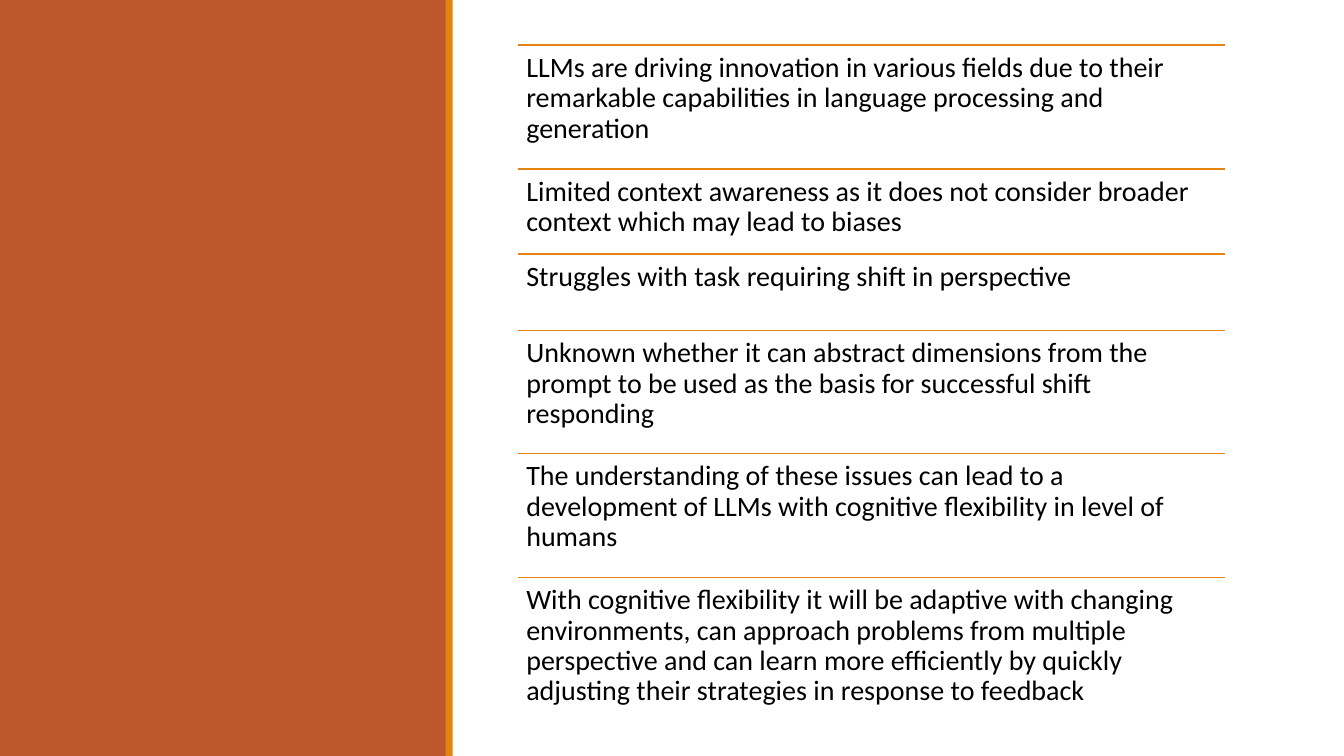
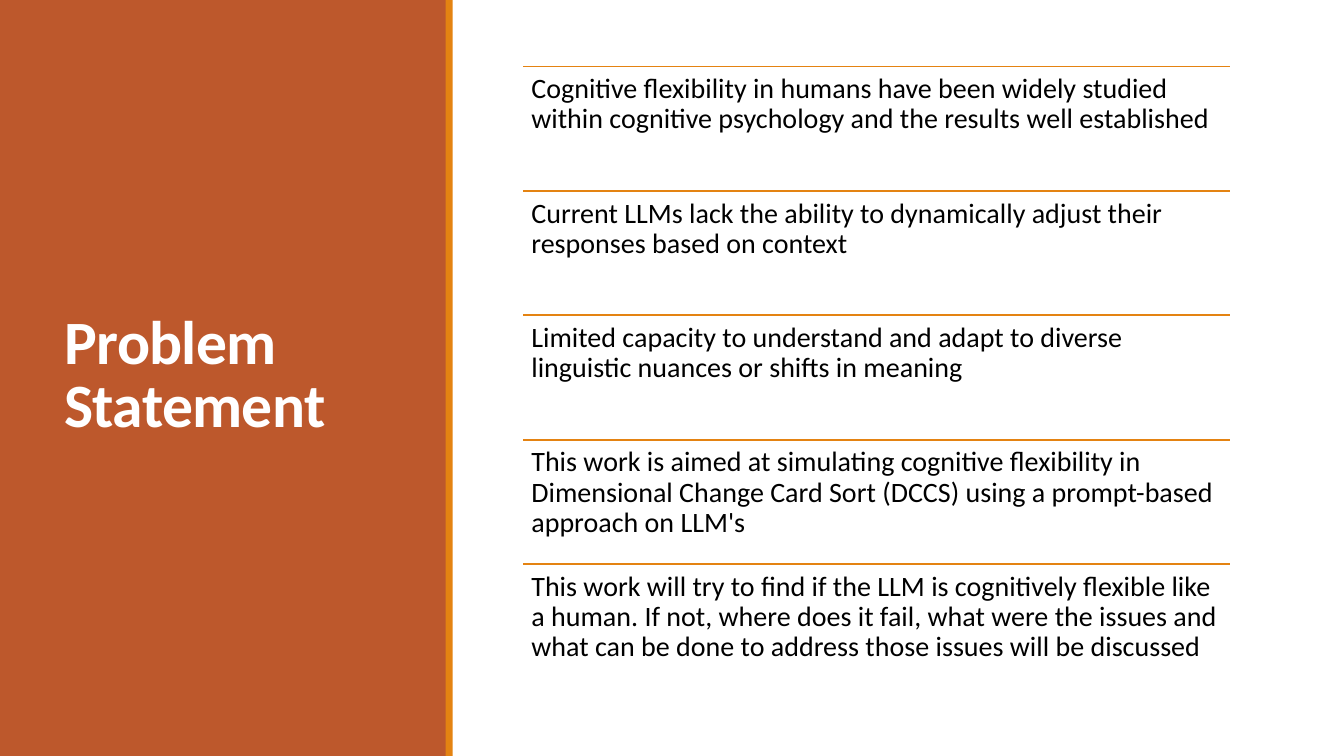
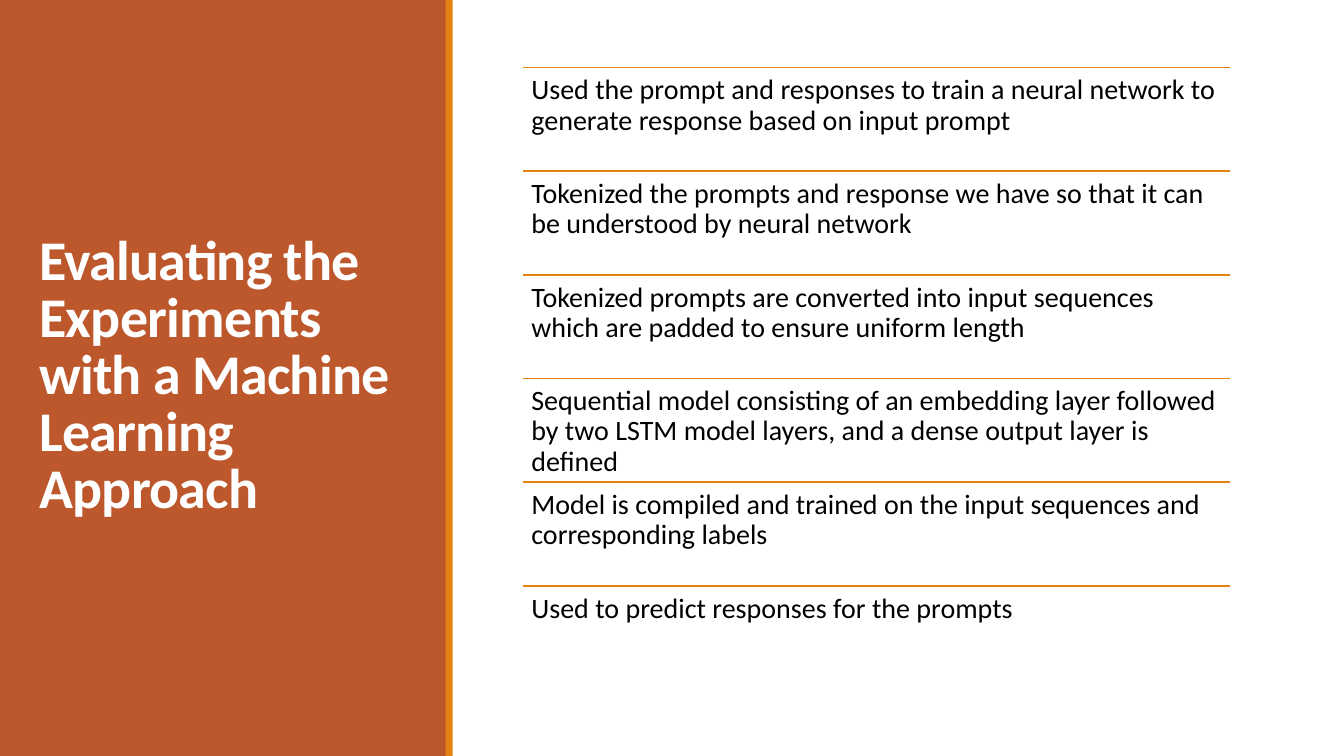
from lxml import etree
from pptx import Presentation
from pptx.dml.color import RGBColor
from pptx.enum.shapes import MSO_CONNECTOR, MSO_SHAPE
from pptx.enum.text import MSO_ANCHOR, MSO_AUTO_SIZE, PP_ALIGN
from pptx.oxml.ns import qn
from pptx.util import Inches, Pt

RECTANGLE = MSO_SHAPE.RECTANGLE
STRAIGHT = MSO_CONNECTOR.STRAIGHT
LEFT = PP_ALIGN.LEFT
TOP, MIDDLE = MSO_ANCHOR.TOP, MSO_ANCHOR.MIDDLE
NO_AUTOFIT = MSO_AUTO_SIZE.NONE

RUST = RGBColor(0xBD, 0x58, 0x2C)
ORANGE = RGBColor(0xE4, 0x83, 0x12)
WHITE = RGBColor(0xFF, 0xFF, 0xFF)
BLACK = RGBColor(0x00, 0x00, 0x00)
FONT = "Calibri"

TITLE_ONLY, BLANK = 5, 6
SLIDE_HEIGHT = 7.5
LIST_WIDTH = 7.01
LIST_HEIGHT = 6.17
INSET = Inches(0.08)

# Left, width and colour of the side panel and its edge
BANDS = [(0, 4.43, RUST), (4.42, 0.07, ORANGE)]

SLIDES = [
    {
        "title": None,
        "list_at": (5.14, 0.45),
        "row_heights": [1.23, 0.84, 0.76, 1.22, 1.23, 1.32],
        "rows": [
            "LLMs are driving innovation in various fields due to their remarkable "
            "capabilities in language processing and generation",
            "Limited context awareness as it does not consider broader context "
            "which may lead to biases",
            "Struggles with task requiring shift in perspective",
            "Unknown whether it can abstract dimensions from the prompt to be used "
            "as the basis for successful shift responding",
            "The understanding of these issues can lead to a development of LLMs "
            "with cognitive flexibility in level of humans",
            "With cognitive flexibility it will be adaptive with changing "
            "environments, can approach problems from multiple perspective and can "
            "learn more efficiently by quickly adjusting their strategies in "
            "response to feedback",
        ],
    },
    {
        "title": "Problem\vStatement",
        "title_left": 0.54,
        "title_width": 3.37,
        "title_size": 44,
        "list_at": (5.19, 0.66),
        "rows": [
            "Cognitive flexibility in humans have been widely studied within "
            "cognitive psychology and the results well established",
            "Current LLMs lack the ability to dynamically adjust their responses "
            "based on context",
            "Limited capacity to understand and adapt to diverse linguistic nuances "
            "or shifts in meaning",
            "This work is aimed at simulating cognitive flexibility in Dimensional "
            "Change Card Sort (DCCS) using a prompt-based approach on LLM's",
            "This work will try to find if the LLM is cognitively flexible like a "
            "human. If not, where does it fail, what were the issues and what can "
            "be done to address those issues will be discussed",
        ],
    },
    {
        "title": "Evaluating the Experiments\vwith a Machine Learning Approach",
        "title_left": 0.29,
        "title_width": 3.89,
        "title_size": 40,
        "list_at": (5.19, 0.67),
        "rows": [
            "Used the prompt and responses to train a neural network to generate "
            "response based on input prompt",
            "Tokenized the prompts and response we have so that it can be "
            "understood by neural network",
            "Tokenized prompts are converted into input sequences which are padded "
            "to ensure uniform length",
            "Sequential model consisting of an embedding layer followed by two LSTM "
            "model layers, and a dense output layer is defined",
            "Model is compiled and trained on the input sequences and corresponding "
            "labels",
            "Used to predict responses for the prompts",
        ],
    },
]


def format_text(shape, text, size, color, anchor, line_spacing):
    """Fill the shape with one left-aligned paragraph and return it."""
    frame = shape.text_frame
    frame.word_wrap = True
    frame.auto_size = NO_AUTOFIT
    frame.vertical_anchor = anchor
    paragraph = frame.paragraphs[0]
    paragraph.text = text
    paragraph.alignment = LEFT
    paragraph.line_spacing = line_spacing
    paragraph.font.name = FONT
    paragraph.font.size = Pt(size)
    paragraph.font.color.rgb = color
    return paragraph


presentation = Presentation()
presentation.slide_width = Inches(13.33)
presentation.slide_height = Inches(SLIDE_HEIGHT)

for content in SLIDES:
    layout = presentation.slide_layouts[TITLE_ONLY if content["title"] else BLANK]
    slide = presentation.slides.add_slide(layout)
    title = slide.shapes.title

    for left, width, color in BANDS:
        band = slide.shapes.add_shape(
            RECTANGLE, Inches(left), 0, Inches(width), Inches(SLIDE_HEIGHT))
        band.shadow.inherit = False
        band.fill.solid()
        band.fill.fore_color.rgb = color
        band.line.fill.background()
        if title is not None:
            title.element.addprevious(band.element)  # keep the title in front

    if title is not None:
        title.left, title.top = Inches(content["title_left"]), Inches(0.66)
        title.width, title.height = Inches(content["title_width"]), Inches(LIST_HEIGHT)
        paragraph = format_text(
            title, content["title"], content["title_size"], WHITE, MIDDLE, 0.85)
        paragraph.font.bold = True
        for properties in title.element.iter(qn("a:defRPr")):
            properties.set("spc", "-50")

    rows = content["rows"]
    row_heights = content.get("row_heights", [LIST_HEIGHT / len(rows)] * len(rows))
    list_left, row_top = content["list_at"]
    for text, row_height in zip(rows, row_heights):
        rule = slide.shapes.add_connector(
            STRAIGHT, Inches(list_left), Inches(row_top),
            Inches(list_left + LIST_WIDTH), Inches(row_top))
        rule.line.color.rgb = ORANGE
        rule.line.width = Pt(1.25)
        etree.SubElement(rule.element.spPr, qn("a:effectLst"))

        row = slide.shapes.add_textbox(
            Inches(list_left), Inches(row_top), Inches(LIST_WIDTH), Inches(row_height))
        format_text(row, text, 20, BLACK, TOP, 0.9)
        frame = row.text_frame
        frame.margin_left = frame.margin_right = INSET
        frame.margin_top = frame.margin_bottom = INSET
        row_top += row_height

presentation.save("out.pptx")
